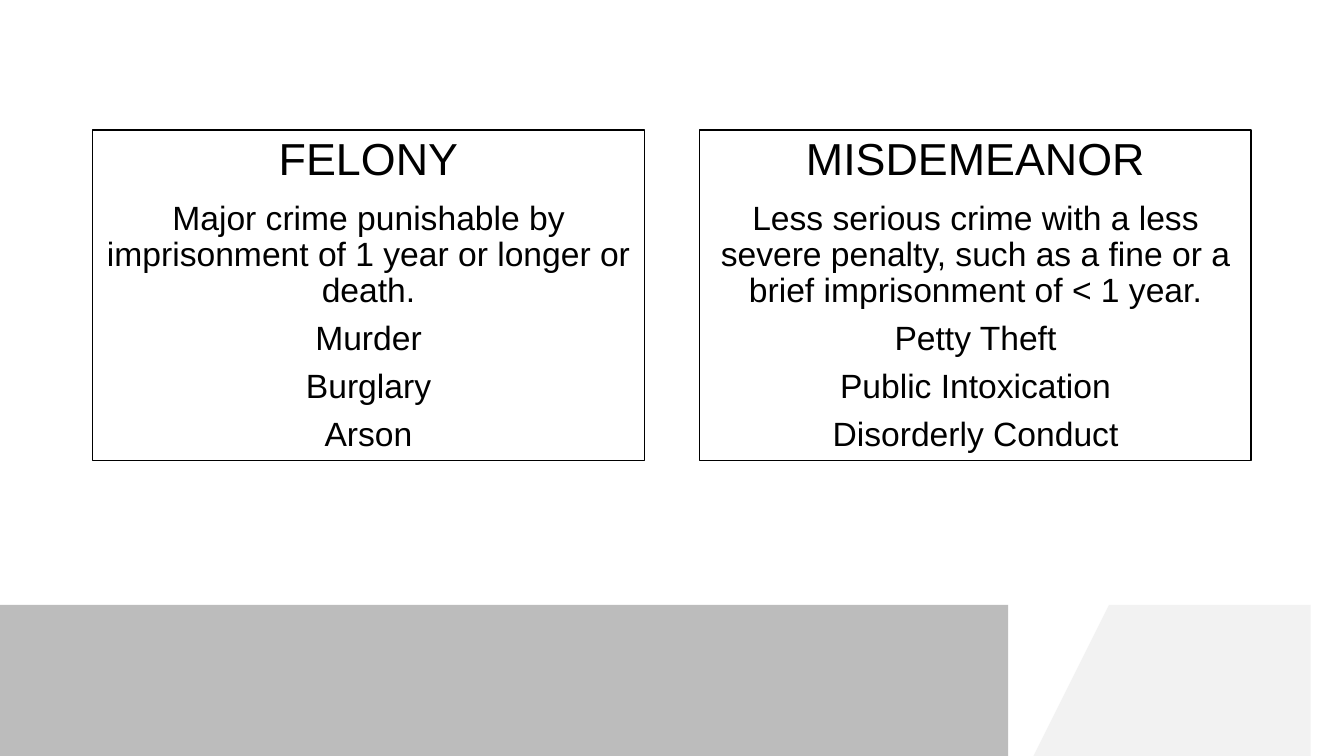
from dataclasses import dataclass

from lxml.etree import SubElement
from pptx import Presentation
from pptx.dml.color import RGBColor
from pptx.enum.shapes import MSO_SHAPE
from pptx.enum.text import MSO_ANCHOR, PP_ALIGN
from pptx.oxml.ns import qn
from pptx.util import Inches, Pt


@dataclass(frozen=True)
class Theme:
    font: str = "Arial"
    ink: str = "000000"
    band: str = "595959"
    band_opacity: int = 40
    corner: str = "F2F2F2"
    heading_size: int = 32
    body_size: int = 24
    border: float = 1
    line_spacing: float = 0.9
    space_after: float = 0.35


THEME = Theme()
SLIDE_WIDTH, SLIDE_HEIGHT = 13.33, 7.5
CARDS = [
    ("FELONY", [
        "Major crime punishable by imprisonment of 1 year or longer or death.",
        "Murder", "Burglary", "Arson"]),
    ("MISDEMEANOR", [
        "Less serious crime with a less severe penalty, such as a fine or a brief imprisonment of < 1 year.",
        "Petty Theft", "Public Intoxication", "Disorderly Conduct"]),
]


def write_text(para, text, *, size, color=THEME.ink, align=PP_ALIGN.CENTER):
    para.alignment = align
    para.line_spacing = THEME.line_spacing
    para.space_after = Pt(size * THEME.space_after)
    span = para.add_run()
    span.text = text
    span.font.name = THEME.font
    span.font.size = Pt(size)
    span.font.color.rgb = RGBColor.from_string(color)


def add_polygon(page, points, color, opacity=100):
    builder = page.shapes.build_freeform(*points[0], scale=Inches(1))
    builder.add_line_segments(points[1:], close=True)
    polygon = builder.convert_to_shape()
    polygon.shadow.inherit = False
    polygon.line.fill.background()
    polygon.fill.solid()
    polygon.fill.fore_color.rgb = RGBColor.from_string(color)
    if opacity < 100:
        color_node = polygon.fill._xPr.find(f".//{qn('a:srgbClr')}")
        SubElement(color_node, qn("a:alpha")).set("val", str(opacity * 1000))


def add_footer(page, left, top, width, height):
    right, bottom = left + width, top + height
    slant, gap, corner_width = 0.75, 0.15, 2.72
    corner_left = right - corner_width
    band_right = corner_left - gap
    add_polygon(page, [(corner_left, top), (right, top), (right, bottom),
                       (corner_left - slant, bottom)], THEME.corner)
    add_polygon(page, [(left, top), (band_right, top), (band_right - slant, bottom),
                       (left, bottom)], THEME.band, THEME.band_opacity)


def add_card(page, heading, lines, left, top, width, height):
    box = page.shapes.add_shape(MSO_SHAPE.RECTANGLE, Inches(left), Inches(top),
                                Inches(width), Inches(height))
    box.shadow.inherit = False
    box.fill.background()
    box.line.color.rgb = RGBColor.from_string(THEME.ink)
    box.line.width = Pt(THEME.border)
    frame = box.text_frame
    frame.word_wrap = True
    frame.vertical_anchor = MSO_ANCHOR.MIDDLE
    frame.margin_left = frame.margin_right = Inches(0.13)
    frame.margin_top = frame.margin_bottom = Inches(0.13)
    write_text(frame.paragraphs[0], heading, size=THEME.heading_size)
    for line in lines:
        write_text(frame.add_paragraph(), line, size=THEME.body_size)


def add_cards(page, left, top, width, height, gap=0.55):
    card_width = (width - gap * (len(CARDS) - 1)) / len(CARDS)
    for index, (heading, lines) in enumerate(CARDS):
        add_card(page, heading, lines, left + index * (card_width + gap), top,
                 card_width, height)


def main():
    deck = Presentation()
    deck.slide_width, deck.slide_height = Inches(SLIDE_WIDTH), Inches(SLIDE_HEIGHT)
    page = deck.slides.add_slide(deck.slide_layouts[6])
    add_footer(page, 0, 5.87, SLIDE_WIDTH, 1.63)
    add_cards(page, 0.92, 1.29, 11.49, 3.28)
    deck.save("out.pptx")


if __name__ == "__main__":
    main()
